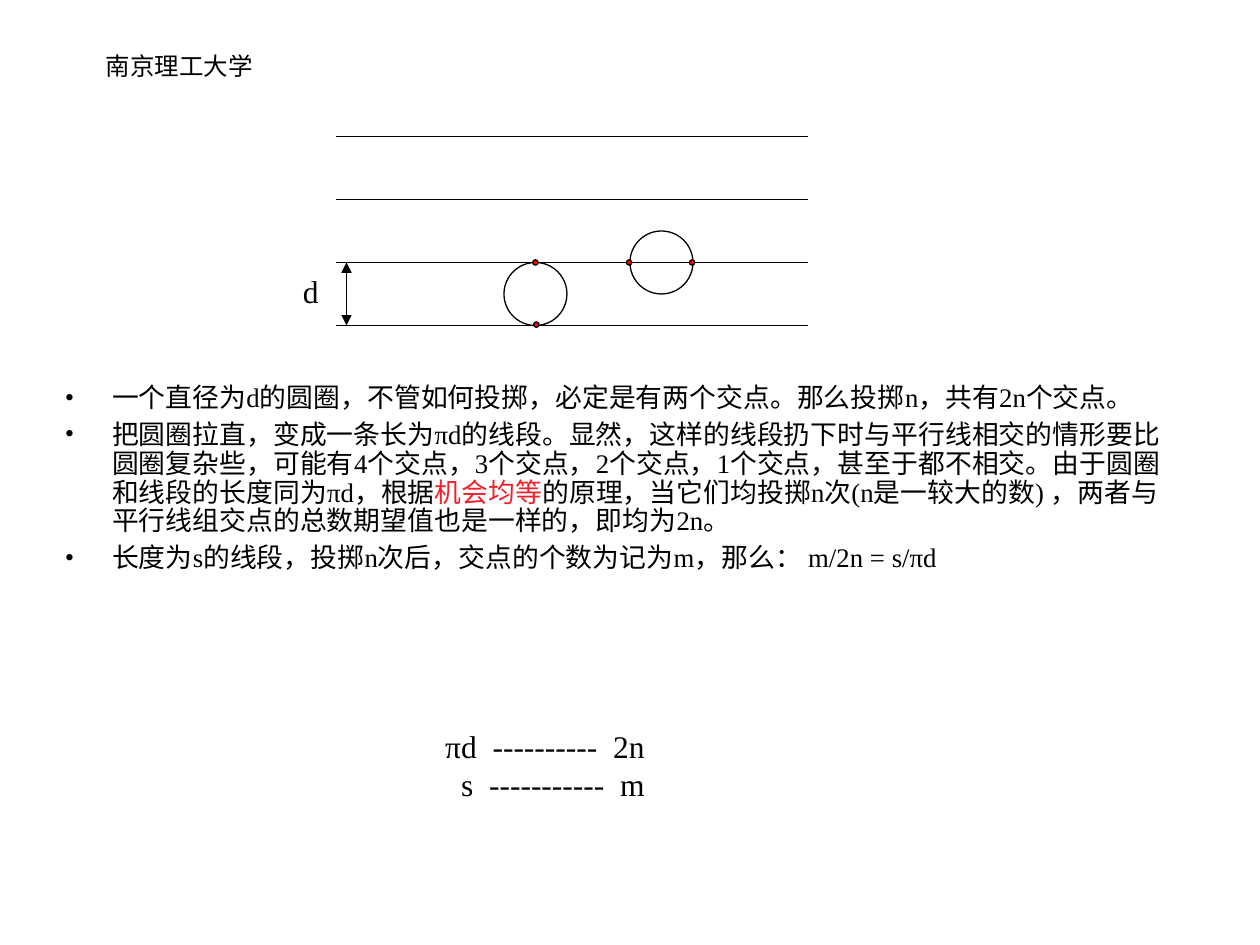
from typing import NamedTuple

from lxml import etree
from pptx import Presentation
from pptx.dml.color import RGBColor
from pptx.enum.shapes import MSO_CONNECTOR as CONN, MSO_SHAPE as SHAPE
from pptx.enum.text import PP_ALIGN as ALIGN
from pptx.oxml.ns import qn
from pptx.util import Pt

BLACK, RED, ACCENT = "000000", "FF0000", "F1212B"
SERIF = "Times New Roman"


class Circle(NamedTuple):
    cx: float
    cy: float
    diameter: float
    fill: str = ""


class Run(NamedTuple):
    text: str
    color: str = BLACK


def rgb(value: str) -> RGBColor:
    return RGBColor.from_string(value)


def add_line(s, x1: float, y1: float, x2: float, y2: float, arrows: bool = False) -> None:
    c = s.shapes.add_connector(CONN.STRAIGHT, Pt(x1), Pt(y1), Pt(x2), Pt(y2))
    c.line.color.rgb = rgb(BLACK)
    c.line.width = Pt(0.75)
    if arrows:
        ln = c.line._get_or_add_ln()
        for tag in ("a:headEnd", "a:tailEnd"):
            etree.SubElement(ln, qn(tag), type="triangle")
    etree.SubElement(c._element.spPr, qn("a:effectLst"))


def add_circle(s, c: Circle) -> None:
    r = c.diameter / 2
    sp = s.shapes.add_shape(SHAPE.OVAL, Pt(c.cx - r), Pt(c.cy - r), Pt(c.diameter), Pt(c.diameter))
    sp.shadow.inherit = False
    if c.fill:
        sp.fill.solid()
        sp.fill.fore_color.rgb = rgb(c.fill)
    else:
        sp.fill.background()
    sp.line.color.rgb = rgb(BLACK)
    sp.line.width = Pt(0.75)


def set_bullet(p, indent: float) -> None:
    pPr = p._p.get_or_add_pPr()
    pPr.set("marL", str(Pt(indent)))
    pPr.set("indent", str(-Pt(indent)))
    color = etree.SubElement(pPr, qn("a:buClr"))
    etree.SubElement(color, qn("a:srgbClr"), val=BLACK)
    etree.SubElement(pPr, qn("a:buFont"), typeface=SERIF)
    etree.SubElement(pPr, qn("a:buChar"), char="•")


def add_text(s, paragraphs: list[list[Run]], *, x: float, y: float, w: float, h: float,
             size: float = 18, font: str = SERIF, align: ALIGN = ALIGN.LEFT,
             wrap: bool = False, bullet_indent: float = 0,
             line_spacing: float = 1.0, space_before: float = 0) -> None:
    tf = s.shapes.add_textbox(Pt(x), Pt(y), Pt(w), Pt(h)).text_frame
    tf.word_wrap = wrap
    for i, runs in enumerate(paragraphs):
        p = tf.add_paragraph() if i else tf.paragraphs[0]
        p.alignment = align
        p.line_spacing = line_spacing
        p.space_before = Pt(space_before if i else 0)
        if bullet_indent:
            set_bullet(p, bullet_indent)
        for run in runs:
            r = p.add_run()
            r.text = run.text
            r.font.name = font
            r.font.size = Pt(size)
            r.font.color.rgb = rgb(run.color)


# Diagram geometry: parallel lines one circle diameter apart
LEFT, RIGHT, TOP, GAP = 192, 462, 78, 36
LINES = [TOP + i * GAP for i in range(4)]
THIRD, FOURTH = LINES[2:]
DOT = 3
CIRCLES = [
    Circle(306, THIRD + GAP / 2, GAP),
    Circle(378, THIRD, GAP),
    Circle(306, THIRD, DOT, RED),
    Circle(306.5, FOURTH - 0.5, DOT, RED),
    Circle(359.5, THIRD, DOT, RED),
    Circle(395.5, THIRD, DOT, RED),
]

BULLETS = [
    [Run("一个直径为d的圆圈，不管如何投掷，必定是有两个交点。那么投掷n，共有2n个交点。")],
    [Run("把圆圈拉直，变成一条长为πd的线段。显然，这样的线段扔下时与平行线相交的情形要比"
         "圆圈复杂些，可能有4个交点，3个交点，2个交点，1个交点，甚至于都不相交。由于"
         "圆圈和线段的长度同为πd，根据"),
     Run("机会均等", ACCENT),
     Run("的原理，当它们均投掷n次(n是一较大的数) ，两者与平行线组交点的总数期望值也是一样的，"
         "即均为2n。")],
    [Run("长度为s的线段，投掷n次后，交点的个数为记为m，那么： m/2n = s/πd")],
]
RATIOS = [[Run("πd  ----------  2n")], [Run("s  -----------  m")]]


def main() -> None:
    prs = Presentation()
    prs.slide_width, prs.slide_height = Pt(720), Pt(540)
    s = prs.slides.add_slide(prs.slide_layouts[6])

    # Header
    add_text(s, [[Run("南京理工大学")]], x=-11.5, y=25.5, w=228, h=37.5,
             size=14, font="Arial", align=ALIGN.CENTER, wrap=True)

    # Parallel lines, spacing arrow and circles
    for y in LINES:
        add_line(s, LEFT, y, RIGHT, y)
    add_line(s, 198, THIRD, 198, FOURTH, arrows=True)
    add_text(s, [[Run("d")]], x=166, y=152, w=23, h=29)
    for circle in CIRCLES:
        add_circle(s, circle)

    # Explanation
    add_text(s, BULLETS, x=30, y=216, w=648, h=168, size=15.3, wrap=True,
             bullet_indent=27, line_spacing=0.9, space_before=4.5)

    # Ratio of lengths to crossings, wide enough for one line each
    add_text(s, RATIOS, x=243.5, y=412, w=132, h=50.5, align=ALIGN.RIGHT, wrap=True)

    prs.save("out.pptx")


if __name__ == "__main__":
    main()
